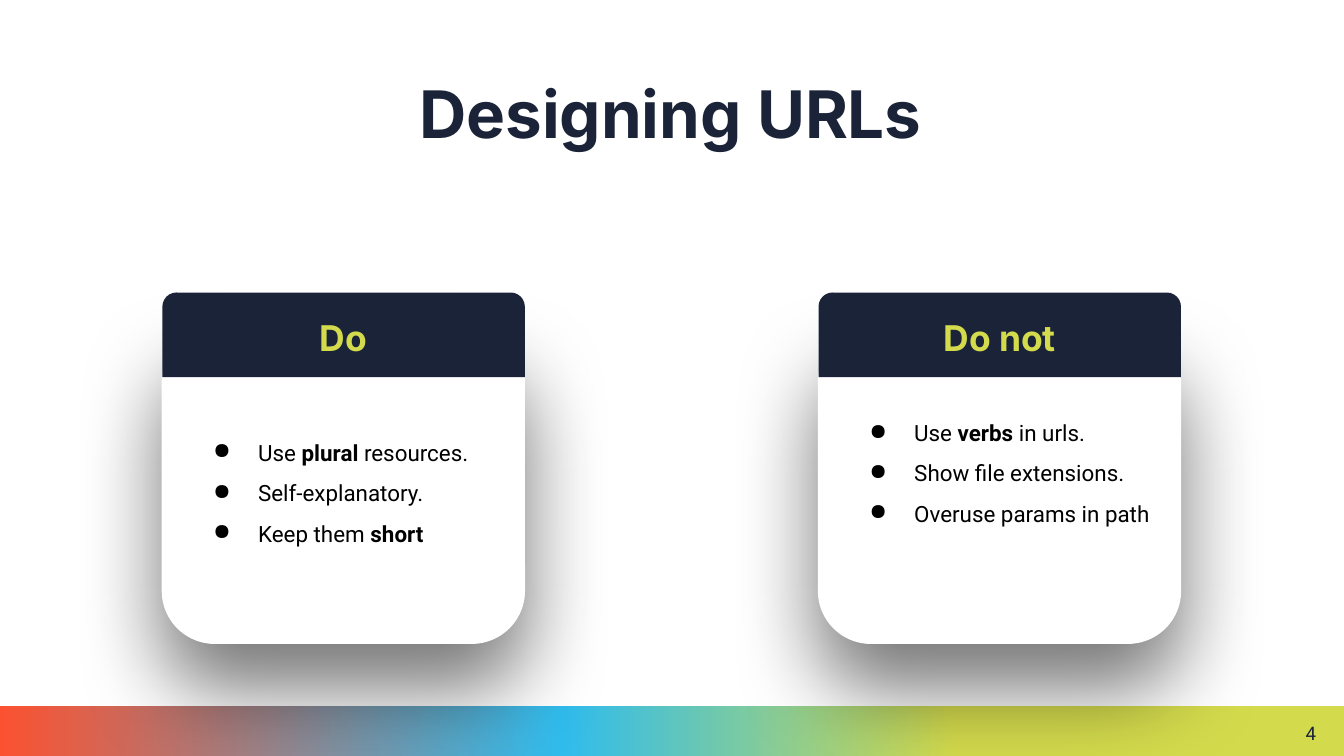
from dataclasses import dataclass

from lxml.etree import SubElement
from pptx import Presentation
from pptx.dml.color import RGBColor
from pptx.enum.shapes import MSO_SHAPE
from pptx.enum.text import MSO_ANCHOR, PP_ALIGN
from pptx.oxml.ns import qn
from pptx.util import Cm, Pt

NAVY = RGBColor(0x1A, 0x23, 0x38)
LIME = RGBColor(0xD3, 0xDA, 0x4C)
SKY = RGBColor(0x30, 0xBC, 0xED)
CORAL = RGBColor(0xFC, 0x51, 0x30)
WHITE = RGBColor(0xFF, 0xFF, 0xFF)
BLACK = RGBColor(0x00, 0x00, 0x00)
HEADING_FONT = "Inter"
BODY_FONT = "Roboto"
INSET = Cm(0.25)


@dataclass(frozen=True)
class Run:
    text: str
    bold: bool = False


@dataclass(frozen=True)
class Card:
    left: float
    heading: str
    bullets: tuple[tuple[Run, ...], ...]
    bottom_inset: float = 0.25


CARDS = (
    Card(3.07, "Do", (
        (Run("Use "), Run("plural", True), Run(" resources.")),
        (Run("Self-explanatory."),),
        (Run("Keep them "), Run("short", True)),
    )),
    Card(15.47, "Do not", (
        (Run("Use "), Run("verbs", True), Run(" in urls.")),
        (Run("Show file extensions."),),
        (Run("Overuse params in path"),),
    ), bottom_inset=1),
)


def add_bullet(paragraph) -> None:
    properties = paragraph._p.get_or_add_pPr()
    properties.set("marL", str(Cm(1.27)))
    properties.set("indent", str(Cm(-0.85)))
    color = SubElement(properties, qn("a:buClr"))
    SubElement(color, qn("a:srgbClr"), val=str(BLACK))
    SubElement(properties, qn("a:buChar"), char="●")


def write_text(shape, paragraphs, *, font: str, size: float, color: RGBColor,
               align=PP_ALIGN.LEFT, anchor=MSO_ANCHOR.MIDDLE,
               bulleted: bool = False, line_spacing: float = 1,
               bottom_inset=INSET) -> None:
    frame = shape.text_frame
    frame.word_wrap = True
    frame.vertical_anchor = anchor
    frame.margin_left = frame.margin_right = frame.margin_top = INSET
    frame.margin_bottom = bottom_inset
    for index, runs in enumerate(paragraphs):
        paragraph = frame.add_paragraph() if index else frame.paragraphs[0]
        paragraph.alignment = align
        paragraph.line_spacing = line_spacing
        if bulleted:
            add_bullet(paragraph)
        for part in runs:
            run = paragraph.add_run()
            run.text = part.text
            run.font.name = font
            run.font.size = Pt(size)
            run.font.bold = part.bold
            run.font.color.rgb = color


def add_box(shapes, kind, left: float, top: float, width: float, height: float,
            fill: RGBColor):
    shape = shapes.add_shape(kind, Cm(left), Cm(top), Cm(width), Cm(height))
    shape.shadow.inherit = False
    shape.fill.solid()
    shape.fill.fore_color.rgb = fill
    shape.line.fill.background()
    return shape


def add_soft_shadow(shape) -> None:
    effects = shape._element.spPr.find(qn("a:effectLst"))
    shadow = SubElement(effects, qn("a:outerShdw"), blurRad=str(Pt(47.2)),
                        dist=str(Pt(23.2)), dir="5400000", algn="bl",
                        rotWithShape="0")
    color = SubElement(shadow, qn("a:srgbClr"), val=str(BLACK))
    SubElement(color, qn("a:alpha"), val="54000")


def set_gradient(shape, stops: tuple[tuple[int, RGBColor], ...]) -> None:
    shape.fill.gradient()
    shape.fill.gradient_angle = 0
    stop_list = next(shape._element.spPr.iter(qn("a:gsLst")))
    for old_stop in list(stop_list):
        stop_list.remove(old_stop)
    for percent, color in stops:
        stop = SubElement(stop_list, qn("a:gs"), pos=str(percent * 1000))
        SubElement(stop, qn("a:srgbClr"), val=str(color))


def add_card(slide, card: Card) -> None:
    shapes = slide.shapes.add_group_shape().shapes
    body = add_box(shapes, MSO_SHAPE.ROUNDED_RECTANGLE,
                   card.left, 6.22, 6.84, 5.94, WHITE)
    body.line.color.rgb = WHITE
    body.line.width = Pt(0.75)
    add_soft_shadow(body)
    write_text(body, card.bullets, font=BODY_FONT, size=12, color=BLACK,
               bulleted=True, line_spacing=1.5,
               bottom_inset=Cm(card.bottom_inset))
    header = add_box(shapes, MSO_SHAPE.ROUND_2_SAME_RECTANGLE,
                     card.left, 5.53, 6.85, 1.6, NAVY)
    write_text(header, [[Run(card.heading, True)]], font=HEADING_FONT, size=19,
               color=LIME, align=PP_ALIGN.CENTER)


def main() -> None:
    presentation = Presentation()
    presentation.slide_width = Cm(25.4)
    presentation.slide_height = Cm(14.29)
    slide = presentation.slides.add_slide(presentation.slide_layouts[6])

    # Title
    title = slide.shapes.add_textbox(Cm(0.84), Cm(1.14), Cm(23.67), Cm(1.6))
    write_text(title, [[Run("Designing URLs", True)]], font=HEADING_FONT,
               size=35.1, color=NAVY, align=PP_ALIGN.CENTER,
               anchor=MSO_ANCHOR.TOP)

    # Footer band and page number
    band = add_box(slide.shapes, MSO_SHAPE.RECTANGLE,
                   -0.05, 13.34, 25.45, 0.95, LIME)
    set_gradient(band, ((0, CORAL), (42, SKY), (71, LIME), (100, LIME)))
    number = slide.shapes.add_textbox(Cm(24.08), Cm(13.31), Cm(1.04), Cm(1.09))
    write_text(number, [[Run("4")]], font=BODY_FONT, size=10, color=NAVY,
               align=PP_ALIGN.RIGHT)

    # Advice cards
    for card in CARDS:
        add_card(slide, card)

    presentation.save("out.pptx")


if __name__ == "__main__":
    main()
